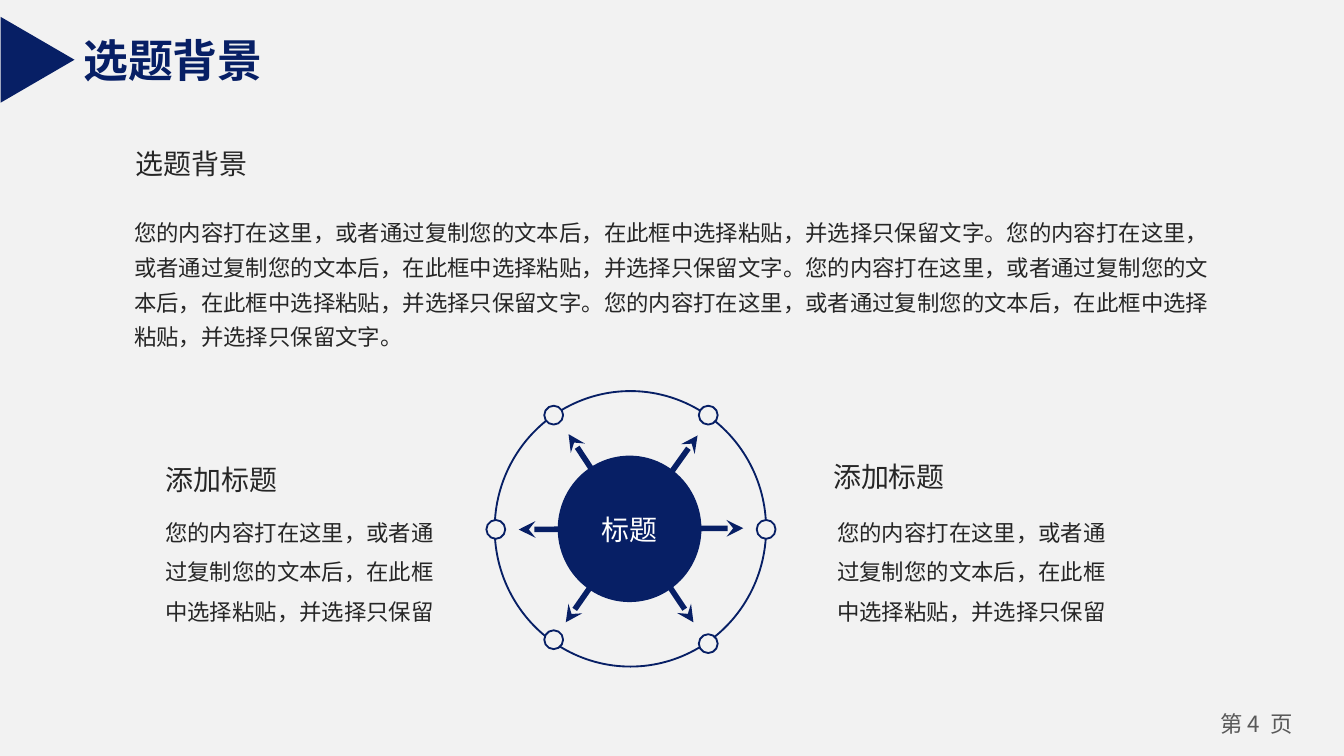
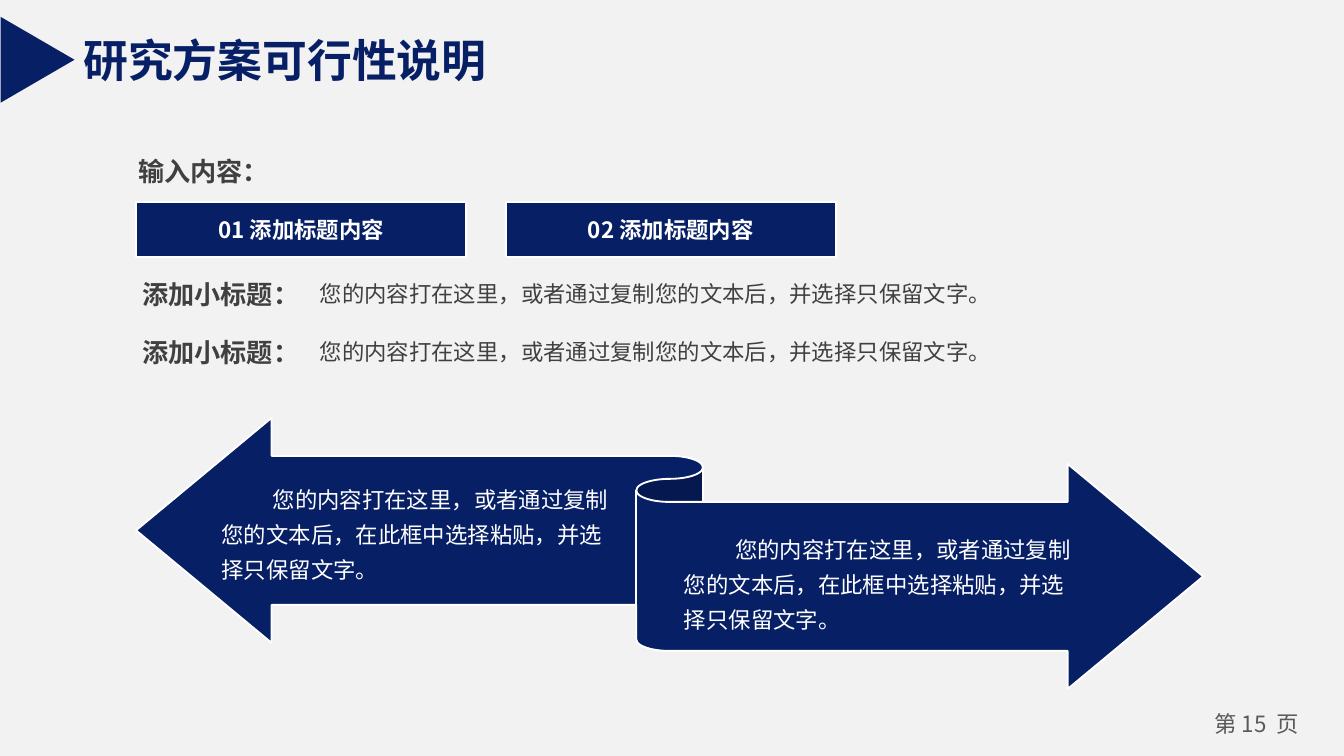
from lxml import etree
from pptx import Presentation
from pptx.dml.color import RGBColor
from pptx.enum import shapes, text
from pptx.oxml import ns
from pptx.util import Pt

NAVY = RGBColor(0x07, 0x1F, 0x65)
PAPER = RGBColor(0xF2, 0xF2, 0xF2)
WHITE = RGBColor(0xFF, 0xFF, 0xFF)
INK = RGBColor(0x26, 0x26, 0x26)
DARK = RGBColor(0x40, 0x40, 0x40)
GREY = RGBColor(0x59, 0x59, 0x59)
FONT = "Noto Sans CJK SC"
KIND = shapes.MSO_SHAPE
LEFT, MID = text.PP_ALIGN.LEFT, text.PP_ALIGN.CENTER

BODY = "您的内容打在这里，或者通过复制您的文本后，在此框中选择粘贴，并选择只保留文字。"
BRIEF = "您的内容打在这里，或者通过复制您的文本后，并选择只保留文字。"


class Deck:
    def __init__(self):
        self.prs = Presentation()
        self.prs.slide_width, self.prs.slide_height = Pt(720), Pt(405)
        fill = self.prs.slide_master.background.fill
        fill.solid()
        fill.fore_color.rgb = PAPER
        self.slide = None

    def page(self, title, number, font=FONT):
        """Start a slide with its title, corner triangle and page number."""
        self.slide = self.prs.slides.add_slide(self.prs.slide_layouts[5])
        head = self.slide.shapes.title
        head.left, head.top = Pt(37.4), Pt(13.7)
        head.width, head.height = Pt(600), Pt(36)
        self.style(head.text_frame, title, 24, NAVY, bold=True, font=font,
                   anchor=text.MSO_ANCHOR.MIDDLE)
        mark = self.shape(KIND.ISOSCELES_TRIANGLE, -2.9, 12.2, 46, 39.6, NAVY)
        mark.rotation = 90
        self.label(f"第 {number}  页", 640.8, 377.3, 64.8, 21.6, 12, GREY,
                   align=MID, inset=(5, 3))

    def style(self, frame, words, size, color, bold=False, align=LEFT,
              font=FONT, space=None, indent=0, wrap=True, inset=(7.2, 3.6),
              anchor=text.MSO_ANCHOR.TOP):
        """Fill a text frame and format its one paragraph."""
        frame.text = words
        frame.word_wrap = wrap
        frame.auto_size = text.MSO_AUTO_SIZE.NONE
        frame.vertical_anchor = anchor
        frame.margin_left = frame.margin_right = Pt(inset[0])
        frame.margin_top = frame.margin_bottom = Pt(inset[1])
        para = frame.paragraphs[0]
        para.alignment = align
        para.space_before = Pt(0)
        if space:
            para.line_spacing = space
        para.font.name, para.font.size = font, Pt(size)
        para.font.bold = bold
        para.font.color.rgb = color
        props = para._p.get_or_add_pPr()
        if indent:
            props.set("indent", str(Pt(indent)))
        east = etree.Element(ns.qn("a:ea"), typeface=FONT)
        props.find(ns.qn("a:defRPr")).find(ns.qn("a:latin")).addnext(east)

    def label(self, words, x, y, w, h, size, color, **style):
        box = self.slide.shapes.add_textbox(Pt(x), Pt(y), Pt(w), Pt(h))
        self.style(box.text_frame, words, size, color, **style)

    def shape(self, kind, x, y, w, h, fill=None, line=None):
        form = self.slide.shapes.add_shape(kind, Pt(x), Pt(y), Pt(w), Pt(h))
        form.shadow.inherit = False
        if fill is None:
            form.fill.background()
        else:
            form.fill.solid()
            form.fill.fore_color.rgb = fill
        if line is None:
            form.line.fill.background()
        else:
            form.line.color.rgb = line
            form.line.width = Pt(1)
        return form

    def badge(self, kind, words, x, y, w, h, size, line=None, bold=False):
        """Draw a navy shape with centred white text."""
        form = self.shape(kind, x, y, w, h, NAVY, line)
        self.style(form.text_frame, words, size, WHITE, bold=bold, align=MID,
                   anchor=text.MSO_ANCHOR.MIDDLE)

    def arrow(self, start, end):
        link = self.slide.shapes.add_connector(
            shapes.MSO_CONNECTOR.STRAIGHT, *map(Pt, start + end))
        link.line.color.rgb = NAVY
        link.line.width = Pt(3)
        props = link._element.spPr
        etree.SubElement(props.find(ns.qn("a:ln")), ns.qn("a:tailEnd"),
                         type="stealth")
        etree.SubElement(props, ns.qn("a:effectLst"))


def topic(deck):
    deck.page("选题背景", 4)
    deck.label("选题背景", 65.5, 74.9, 75, 25.2, 15, INK, wrap=False)
    deck.label(BODY * 4, 64.8, 109.4, 590.4, 101.5, 12, INK, space=1.3)

    deck.shape(KIND.OVAL, 265, 209.5, 145.4, 147.6, line=NAVY)
    dots = [(374.4, 217.4), (291.6, 217.4), (260.6, 278.6),
            (405.4, 278.6), (374.4, 339.8), (291.6, 337.7)]
    for x, y in dots:
        deck.shape(KIND.OVAL, x, y, 10.1, 10.1, PAPER, NAVY)
    tips = [(373.7, 233.3), (398.2, 283), (304.6, 232.6),
            (277.9, 283.7), (303.1, 333.4), (371.5, 333.4)]
    for tip in tips:
        deck.arrow((338, 283.3), tip)
    deck.badge(KIND.OVAL, "标题", 298.8, 244.1, 77, 78.5, 15)

    for x, y, left in [(81.4, 244.1, 81.4), (439.2, 242.6, 441.4)]:
        deck.label("添加标题", x, y, 75, 25.2, 15, INK, wrap=False)
        deck.label(BODY.removesuffix("文字。"), left, 267.8, 162, 70.6, 12,
                   INK, space=Pt(21.1))


def study(deck):
    deck.page("研究方案可行性说明", 15, font="Arial")
    deck.label("输入内容：", 69.1, 80.6, 81.4, 22.3, 14, DARK, bold=True,
               wrap=False, inset=(5, 3), anchor=text.MSO_ANCHOR.MIDDLE)
    for i in range(2):
        deck.badge(KIND.RECTANGLE, f"0{i + 1} 添加标题内容",
                   72.9 + 198 * i, 108.4, 177, 29.5, 12, WHITE, True)
        y = 145.6 + 31 * i
        deck.label("添加小标题：", 69.1, y, 99.4, 24.2, 14, DARK, bold=True,
                   wrap=False, anchor=text.MSO_ANCHOR.MIDDLE)
        deck.label(BRIEF, 164.2, y + 0.9, 440, 21.6, 12, DARK)

    band = deck.shape(KIND.LEFT_RIGHT_RIBBON, 72.9, 223.9, 571.7, 145.2,
                      NAVY, WHITE)
    for i, value in enumerate((0.55, 0.5, 0.17)):
        band.adjustments[i] = value
    for x, y in [(111.6, 252.7), (359.3, 279.4)]:
        deck.label(BODY, x, y, 229, 64.1, 12, WHITE, space=1.3, indent=27.4)


def main():
    deck = Deck()
    topic(deck)
    study(deck)
    deck.prs.save("out.pptx")


if __name__ == "__main__":
    main()
